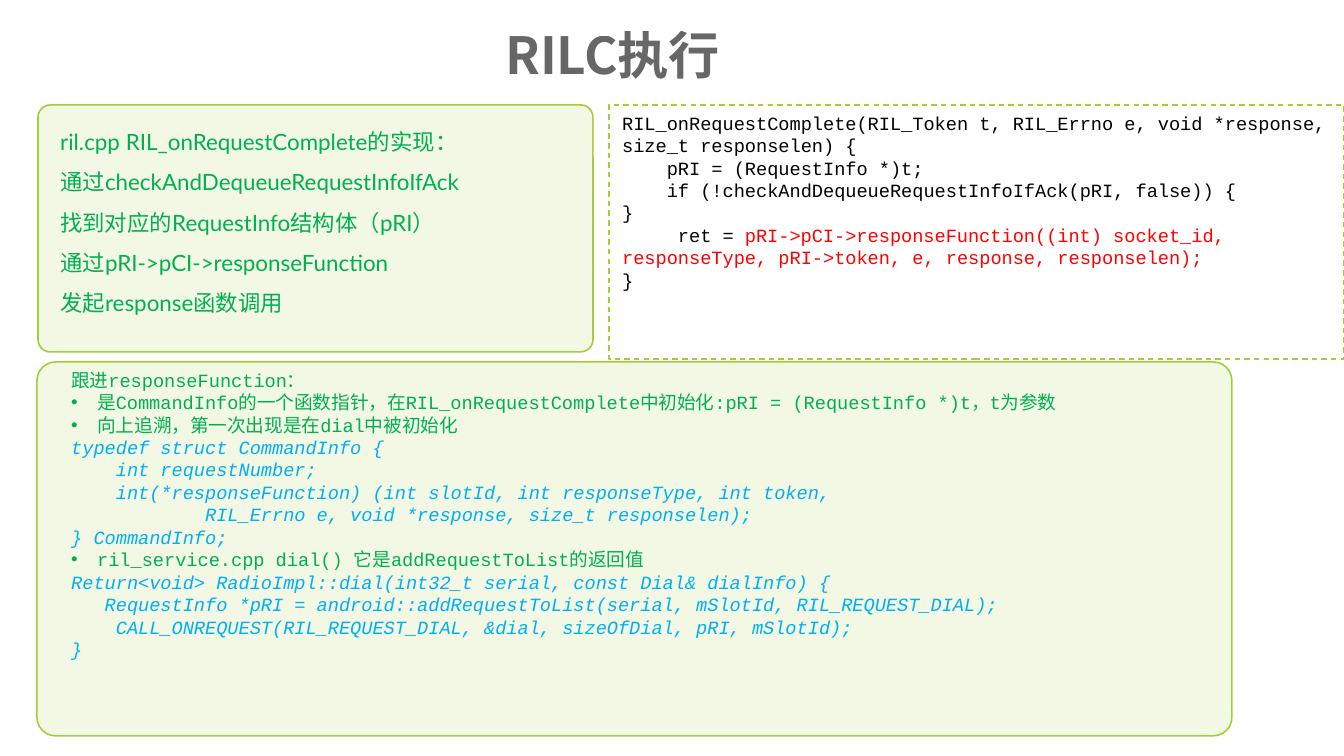
from dataclasses import dataclass

from lxml import etree
from pptx import Presentation
from pptx.dml.color import RGBColor
from pptx.enum.dml import MSO_LINE
from pptx.enum.shapes import MSO_SHAPE
from pptx.enum.text import MSO_ANCHOR, MSO_AUTO_SIZE, PP_ALIGN
from pptx.oxml.ns import qn
from pptx.util import Pt

RECTANGLE = MSO_SHAPE.RECTANGLE
ROUNDED = MSO_SHAPE.ROUNDED_RECTANGLE
DASH = MSO_LINE.DASH
TOP = MSO_ANCHOR.TOP
LEFT = PP_ALIGN.LEFT
GROW = MSO_AUTO_SIZE.SHAPE_TO_FIT_TEXT
PX = 914400 / 134.4


@dataclass(frozen=True)
class Theme:
    """Colours, fonts and type sizes of the slide."""

    title: str = "595959"
    lime: str = "A3CD39"
    green: str = "00B050"
    blue: str = "00B0F0"
    red: str = "FF0000"
    black: str = "000000"
    body_font: str = "Lato"
    code_font: str = "Courier New"
    chinese_font: str = "Noto Sans CJK SC"
    title_size: float = 27.4
    body_size: float = 12
    code_size: float = 10
    title_opacity: int = 91
    panel_opacity: int = 13


THEME = Theme()

SUMMARY = [
    "ril.cpp RIL_onRequestComplete的实现：",
    "通过checkAndDequeueRequestInfoIfAck",
    "找到对应的RequestInfo结构体（pRI）",
    "通过pRI->pCI->responseFunction",
    "发起response函数调用",
]

COMPLETE_CODE = [
    [("RIL_onRequestComplete(RIL_Token t, RIL_Errno e, void *response, "
      "size_t responselen) {", THEME.black)],
    [("    pRI = (RequestInfo *)t;", THEME.black)],
    [("    if (!checkAndDequeueRequestInfoIfAck(pRI, false)) {", THEME.black)],
    [("}", THEME.black)],
    [("     ret = ", THEME.black),
     ("pRI->pCI->responseFunction((int) socket_id,", THEME.red)],
    [("responseType, pRI->token, e, response, responselen);", THEME.red)],
    [("}", THEME.black)],
]

TRACE = [
    ("plain", ["跟进responseFunction："]),
    ("bullet", [
        "是CommandInfo的一个函数指针，在RIL_onRequestComplete中初始化"
        ":pRI = (RequestInfo *)t，t为参数",
        "向上追溯，第一次出现是在dial中被初始化",
    ]),
    ("code", [
        "typedef struct CommandInfo {",
        "    int requestNumber;",
        "    int(*responseFunction) (int slotId, int responseType, int token,",
        "            RIL_Errno e, void *response, size_t responselen);",
        "} CommandInfo;",
    ]),
    ("bullet", ["ril_service.cpp dial() 它是addRequestToList的返回值"]),
    ("code", [
        "Return<void> RadioImpl::dial(int32_t serial, const Dial& dialInfo) {",
        "   RequestInfo *pRI = android::addRequestToList(serial, mSlotId, RIL_REQUEST_DIAL);",
        "    CALL_ONREQUEST(RIL_REQUEST_DIAL, &dial, sizeOfDial, pRI, mSlotId);",
        "}",
    ]),
]


def px(value):
    """Turn pixels into EMU."""
    return round(value * PX)


def set_opacity(element, percent):
    """Make the first solid colour inside an element translucent."""
    colour = next(element.iter(qn("a:srgbClr")))
    etree.SubElement(colour, qn("a:alpha")).set("val", str(percent * 1000))


def add_bullet(para, indent):
    """Give a paragraph a hanging round bullet."""
    properties = para._p.get_or_add_pPr()
    properties.set("marL", str(px(indent)))
    properties.set("indent", str(-px(indent)))
    etree.SubElement(properties, qn("a:buFont")).set("typeface", "Arial")
    etree.SubElement(properties, qn("a:buChar")).set("char", "•")


def add_span(para, text, font_name, size, colour, bold=False, italic=False):
    """Append a formatted run to a paragraph."""
    span = para.add_run()
    span.text = text
    font = span.font
    font.size = Pt(size)
    font.bold = bold
    font.italic = italic
    font.color.rgb = RGBColor.from_string(colour)
    font.name = font_name
    east_asian = etree.SubElement(span._r.get_or_add_rPr(), qn("a:ea"))
    east_asian.set("typeface", THEME.chinese_font)
    return span


def add_paragraphs(frame, count):
    """Return the given number of paragraphs of an empty text frame."""
    return [frame.paragraphs[0]] + [frame.add_paragraph() for _ in range(count - 1)]


def add_text_box(page, left, top, width, height, wrap=True):
    """Add a text box and return its text frame."""
    box = page.shapes.add_textbox(px(left), px(top), px(width), px(height))
    box.text_frame.word_wrap = wrap
    return box.text_frame


def add_outlined_box(page, kind, left, top, width, height, line_width):
    """Add a shape with a lime outline and no fill."""
    box = page.shapes.add_shape(kind, px(left), px(top), px(width), px(height))
    box.shadow.inherit = False
    box.fill.background()
    box.line.color.rgb = RGBColor.from_string(THEME.lime)
    box.line.width = Pt(line_width)
    return box


def add_panel(page, left, top, width, height):
    """Add a rounded panel with a pale lime fill."""
    panel = add_outlined_box(page, ROUNDED, left, top, width, height, 0.85)
    panel.adjustments[0] = 0.05
    panel.fill.solid()
    panel.fill.fore_color.rgb = RGBColor.from_string(THEME.lime)
    set_opacity(panel.element.spPr, THEME.panel_opacity)


def add_title(page):
    """Add the slide heading."""
    frame = add_text_box(page, 492, 17, 648, 63, wrap=False)
    span = add_span(frame.paragraphs[0], "RILC执行", THEME.chinese_font,
                    THEME.title_size, THEME.title, bold=True)
    set_opacity(span._r, THEME.title_opacity)


def add_summary(page):
    """Add the widely spaced summary lines."""
    frame = add_text_box(page, 47, 108, 669, 238)
    for para, text in zip(add_paragraphs(frame, len(SUMMARY)), SUMMARY):
        para.line_spacing = 1.5
        add_span(para, text, THEME.body_font, THEME.body_size, THEME.green)


def add_code_box(page):
    """Add the dashed box that holds the completion code."""
    box = add_outlined_box(page, RECTANGLE, 609, 105, 735, 254, 0.75)
    box.line.dash_style = DASH
    frame = box.text_frame
    frame.word_wrap = True
    frame.vertical_anchor = TOP
    for para, spans in zip(add_paragraphs(frame, len(COMPLETE_CODE)), COMPLETE_CODE):
        para.alignment = LEFT
        for text, colour in spans:
            add_span(para, text, THEME.code_font, THEME.code_size, colour)


def add_trace(page):
    """Add the notes and code that follow the response function."""
    frame = add_text_box(page, 58, 362, 1285, 308)
    frame.auto_size = GROW
    lines = [(kind, text) for kind, texts in TRACE for text in texts]
    for para, (kind, text) in zip(add_paragraphs(frame, len(lines)), lines):
        if kind == "bullet":
            add_bullet(para, 26)
        is_code = kind == "code"
        add_span(para, text, THEME.code_font, THEME.code_size,
                 THEME.blue if is_code else THEME.green, italic=is_code)


def main():
    """Build and save the slide."""
    deck = Presentation()
    deck.slide_width, deck.slide_height = px(1344), px(756)
    page = deck.slides.add_slide(deck.slide_layouts[6])
    add_title(page)
    add_panel(page, 38, 105, 555, 247)
    add_summary(page)
    add_code_box(page)
    add_panel(page, 37, 362, 1195, 374)
    add_trace(page)
    deck.save("out.pptx")


if __name__ == "__main__":
    main()
